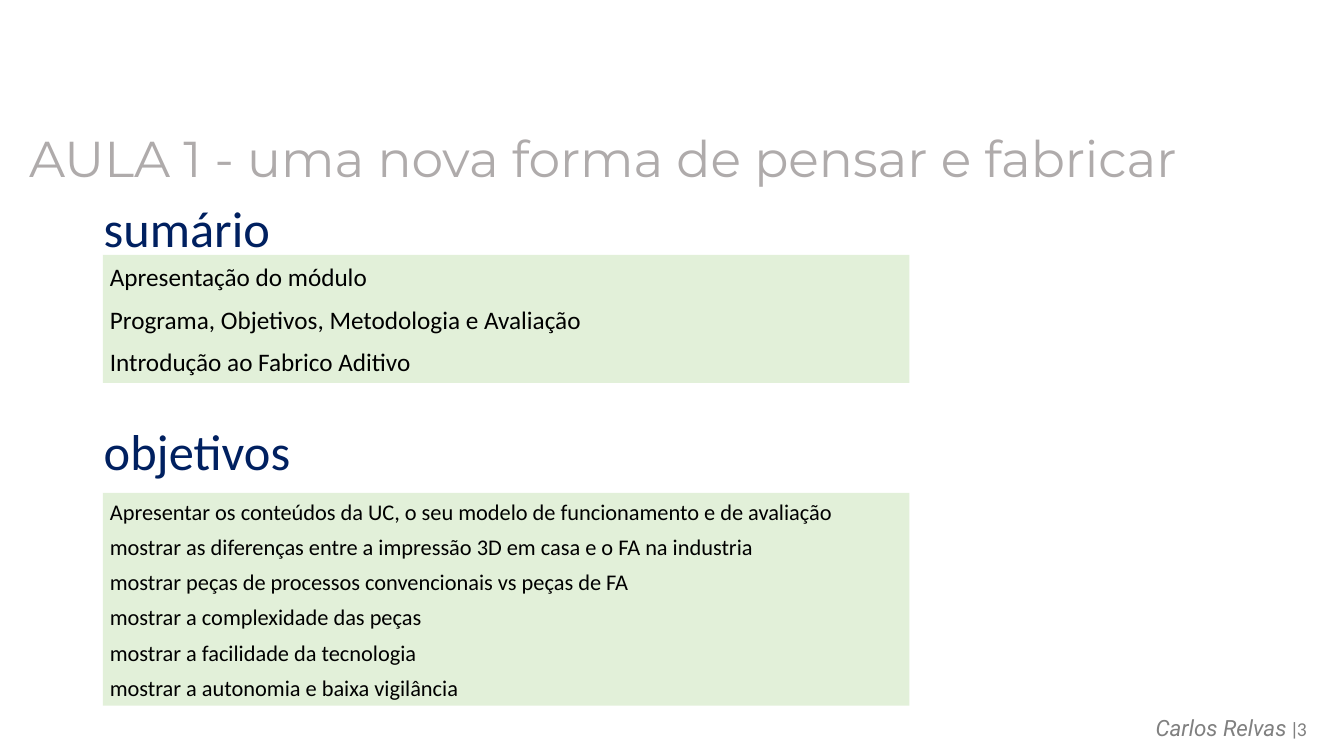
import pptx
import pptx.dml.color
import pptx.enum.shapes
import pptx.enum.text
import pptx.util

PX = 9144  # EMU per px, 100 px to the inch
RGB = pptx.dml.color.RGBColor
ALIGN = pptx.enum.text.PP_ALIGN
ANCHOR = pptx.enum.text.MSO_ANCHOR

NAVY = RGB(0x00, 0x20, 0x60)
GREEN = RGB(0xE2, 0xF0, 0xD9)
BLACK = RGB(0x00, 0x00, 0x00)
SILVER = RGB(0xAF, 0xAB, 0xAB)
GREY = RGB(0x80, 0x80, 0x80)

SUMMARY = [
    "Apresentação do módulo",
    "Programa, Objetivos, Metodologia e Avaliação",
    "Introdução ao Fabrico Aditivo",
]
GOALS = [
    "Apresentar os conteúdos da UC, o seu modelo de funcionamento e de avaliação",
    "mostrar as diferenças entre a impressão 3D em casa e o FA na industria",
    "mostrar peças de processos convencionais vs peças de FA",
    "mostrar a complexidade das peças",
    "mostrar a facilidade da tecnologia",
    "mostrar a autonomia e baixa vigilância",
]


def px(*sizes):
    return [pptx.util.Emu(size * PX) for size in sizes]


def write(para, text, size=18, font="Calibri", color=BLACK, italic=False):
    run = para.add_run()
    run.text = text
    run.font.size = pptx.util.Pt(size)
    run.font.name = font
    run.font.color.rgb = color
    run.font.italic = italic


def add_box(slide, box):
    frame = slide.shapes.add_textbox(*px(*box)).text_frame
    frame.word_wrap = True
    return frame.paragraphs[0]


def add_title(slide, box, text):
    write(add_box(slide, box), text, size=36, font="Montserrat", color=SILVER)


def add_panel(slide, box, lines, size, before, after):
    panel = slide.shapes.add_shape(pptx.enum.shapes.MSO_SHAPE.RECTANGLE, *px(*box))
    panel.shadow.inherit = False
    panel.fill.solid()
    panel.fill.fore_color.rgb = GREEN
    panel.line.fill.background()
    frame = panel.text_frame
    frame.word_wrap = True
    frame.vertical_anchor = ANCHOR.MIDDLE
    frame.margin_left, frame.margin_right = px(7, 7)
    frame.margin_top, frame.margin_bottom = px(4, 4)
    for i, line in enumerate(lines):
        para = frame.add_paragraph() if i else frame.paragraphs[0]
        para.alignment = ALIGN.LEFT
        para.space_before = pptx.util.Pt(before if i else 0)
        para.space_after = pptx.util.Pt(after)
        write(para, line, size=size)


def add_section(slide, box, head, lines, drop, size, before, after=0):
    left, top, width, height = box
    # Heading, set so that its text lines up with the panel edge
    write(add_box(slide, (left - 9, top, 529, 71)), head, size=36, color=NAVY)
    # Panel of lines
    add_panel(slide, (left, top + drop, width, height - drop), lines, size, before, after)


def add_footer(slide, box):
    para = add_box(slide, box)
    para.alignment = ALIGN.RIGHT
    write(para, "Carlos Relvas ", size=16, font="Roboto", color=GREY, italic=True)
    write(para, "|", size=14, font="Roboto", color=GREY)
    write(para, "3", size=14, color=GREY)


def main():
    deck = pptx.Presentation()
    deck.slide_width, deck.slide_height = px(1333, 750)
    slide = deck.slides.add_slide(deck.slide_layouts[6])
    add_footer(slide, (1090, 704, 216, 37))
    add_section(slide, (102, 191, 800, 189), "sumário", SUMMARY,
                drop=62, size=18, before=4.5, after=4.5)
    add_section(slide, (102, 412, 800, 288), "objetivos", GOALS,
                drop=77, size=16, before=6)
    add_title(slide, (19, 121, 1296, 71), "AULA 1 - uma nova forma de pensar e fabricar")
    deck.save("out.pptx")


if __name__ == "__main__":
    main()
